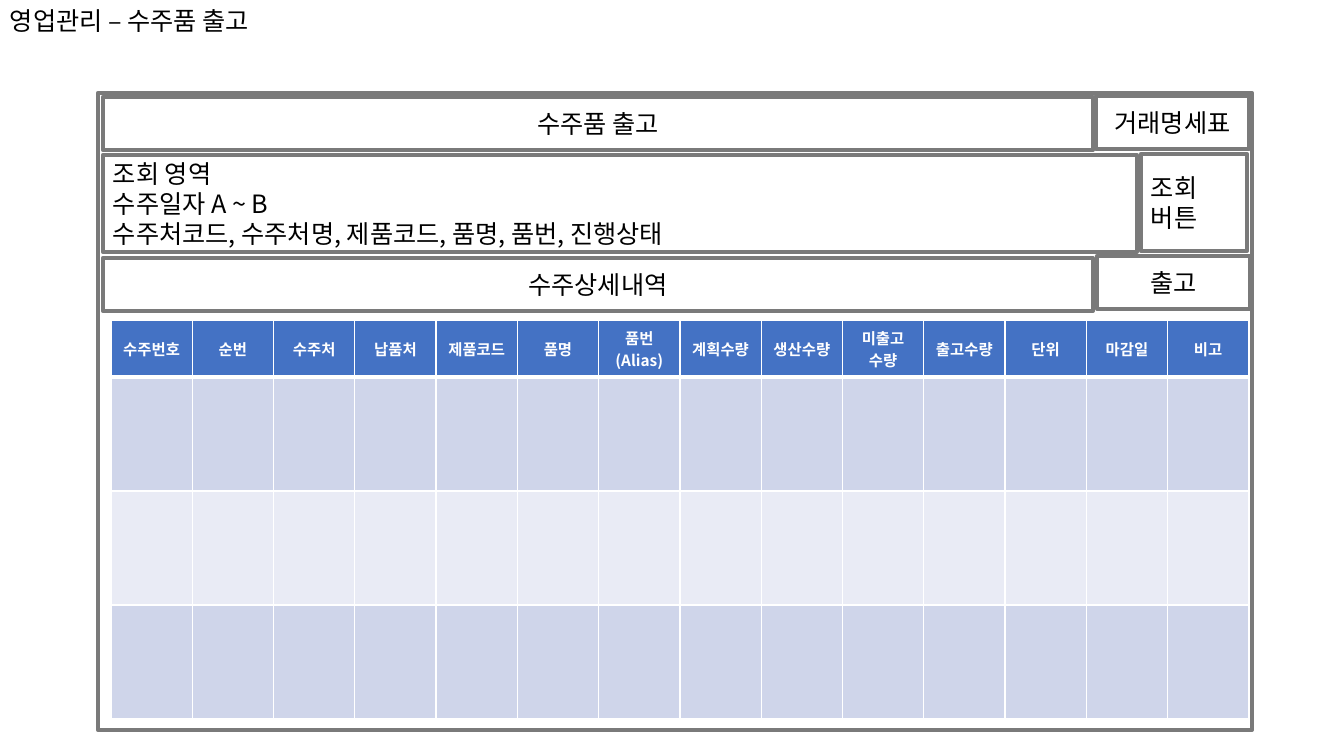
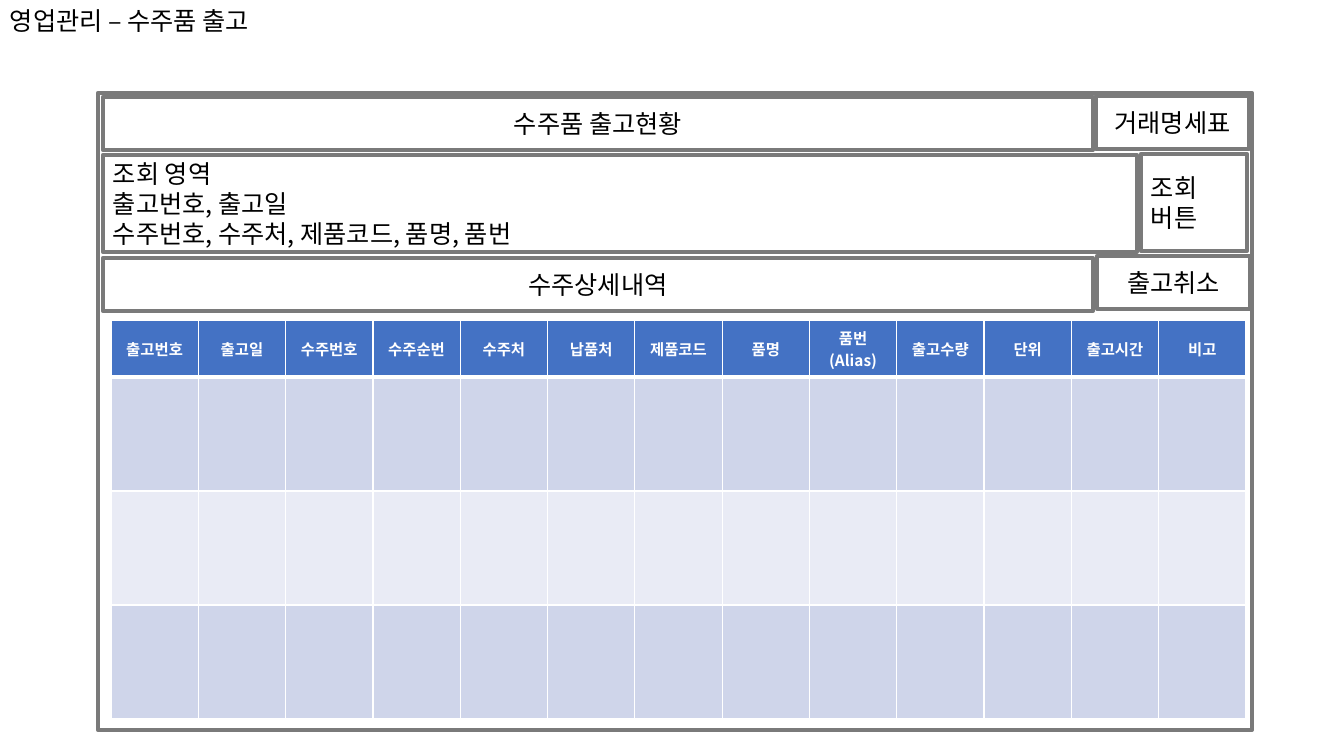
from lxml.etree import SubElement
from pptx import Presentation
from pptx.dml.color import RGBColor
from pptx.enum.shapes import MSO_SHAPE as Shape
from pptx.enum.text import MSO_ANCHOR as Anchor, MSO_AUTO_SIZE as AutoSize, PP_ALIGN as Align
from pptx.oxml.ns import qn
from pptx.util import Pt

PX = 914400 / 100.8
COLORS = {
    "text": "000000", "frame": "7A7A7A", "white": "FFFFFF",
    "header": "4472C4", "odd_row": "CFD5EA", "even_row": "E9EBF5",
}
FONT = "Noto Sans CJK KR"
TITLE = "영업관리 – 수주품 출고"


def px(*lengths):
    return [round(length * PX) for length in lengths]


def color(name):
    return RGBColor.from_string(COLORS[name])


class Wireframe:
    def __init__(self):
        self.deck = Presentation()
        self.deck.slide_width, self.deck.slide_height = px(1344, 756)
        self.slide = None

    def new_slide(self):
        self.slide = self.deck.slides.add_slide(self.deck.slide_layouts[6])

    def set_text(self, frame, text, size=18, ink="text", bold=False, align=Align.LEFT):
        """Fill a text frame, one paragraph per line."""
        frame.text = text
        for paragraph in frame.paragraphs:
            paragraph.alignment = align
            font = paragraph.font
            font.size, font.bold, font.name = Pt(size), bold, FONT
            font.color.rgb = color(ink)
            defaults = paragraph._p.pPr.find(qn("a:defRPr"))
            SubElement(defaults, qn("a:ea"), typeface=FONT)

    def title(self, text):
        box = self.slide.shapes.add_textbox(*px(0, 0, 289, 40))
        box.text_frame.word_wrap = False
        box.text_frame.auto_size = AutoSize.SHAPE_TO_FIT_TEXT
        self.set_text(box.text_frame, text)

    def box(self, left, top, width, height, text="", align=Align.CENTER):
        rect = self.slide.shapes.add_shape(Shape.RECTANGLE, *px(left, top, width, height))
        rect.shadow.inherit = False
        rect.fill.background()
        rect.line.color.rgb = color("frame")
        rect.line.width = Pt(3)
        if text:
            rect.text_frame.vertical_anchor = Anchor.MIDDLE
            self.set_text(rect.text_frame, text, align=align)

    def borders(self, cell, top=1, bottom=1):
        properties = cell._tc.get_or_add_tcPr()
        for side, points in (("L", 1), ("R", 1), ("T", top), ("B", bottom)):
            line = SubElement(properties, qn(f"a:ln{side}"), w=str(Pt(points)))
            fill = SubElement(line, qn("a:solidFill"))
            SubElement(fill, qn("a:srgbClr"), val=COLORS["white"])

    def table(self, left, top, width, headings, row_heights):
        table = self.slide.shapes.add_table(
            len(row_heights), len(headings),
            *px(left, top, width, sum(row_heights))).table
        for column in table.columns:
            column.width, = px(width / len(headings))
        for index, (row, height) in enumerate(zip(table.rows, row_heights)):
            row.height, = px(height)
            background = "header" if index == 0 else "odd_row" if index % 2 else "even_row"
            for cell in row.cells:
                self.borders(cell, top=3 if index == 1 else 1, bottom=3 if index == 0 else 1)
                cell.fill.solid()
                cell.fill.fore_color.rgb = color(background)
        for cell, heading in zip(table.rows[0].cells, headings):
            cell.vertical_anchor = Anchor.MIDDLE
            self.set_text(cell.text_frame, heading, 11, "white", True, Align.CENTER)

    def screen(self, name, criteria, action, headings, table_width):
        """Lay out one shipping screen."""
        self.new_slide()
        self.title(TITLE)
        self.box(98, 93, 1154, 637)
        self.box(103, 97, 990, 53, name)
        self.box(1141, 154, 106, 97, "조회\n버튼", Align.LEFT)
        self.box(1096, 96, 153, 53, "거래명세표")
        self.box(103, 258, 990, 53, "수주상세내역")
        self.table(111, 320, table_width, headings, [57, 114, 114, 114])
        self.box(1097, 256, 153, 53, action)
        self.box(103, 155, 1034, 97, "조회 영역\n" + criteria, Align.LEFT)


def main():
    wireframe = Wireframe()
    wireframe.screen(
        "수주품 출고",
        "수주일자 A ~ B\n수주처코드, 수주처명, 제품코드, 품명, 품번, 진행상태",
        "출고",
        ["수주번호", "순번", "수주처", "납품처", "제품코드", "품명", "품번(Alias)",
         "계획수량", "생산수량", "미출고\n수량", "출고수량", "단위", "마감일", "비고"],
        1138)
    wireframe.screen(
        "수주품 출고현황",
        "출고번호, 출고일\n수주번호, 수주처, 제품코드, 품명, 품번",
        "출고취소",
        ["출고번호", "출고일", "수주번호", "수주순번", "수주처", "납품처", "제품코드",
         "품명", "품번(Alias)", "출고수량", "단위", "출고시간", "비고"],
        1135)
    wireframe.deck.save("out.pptx")


if __name__ == "__main__":
    main()
